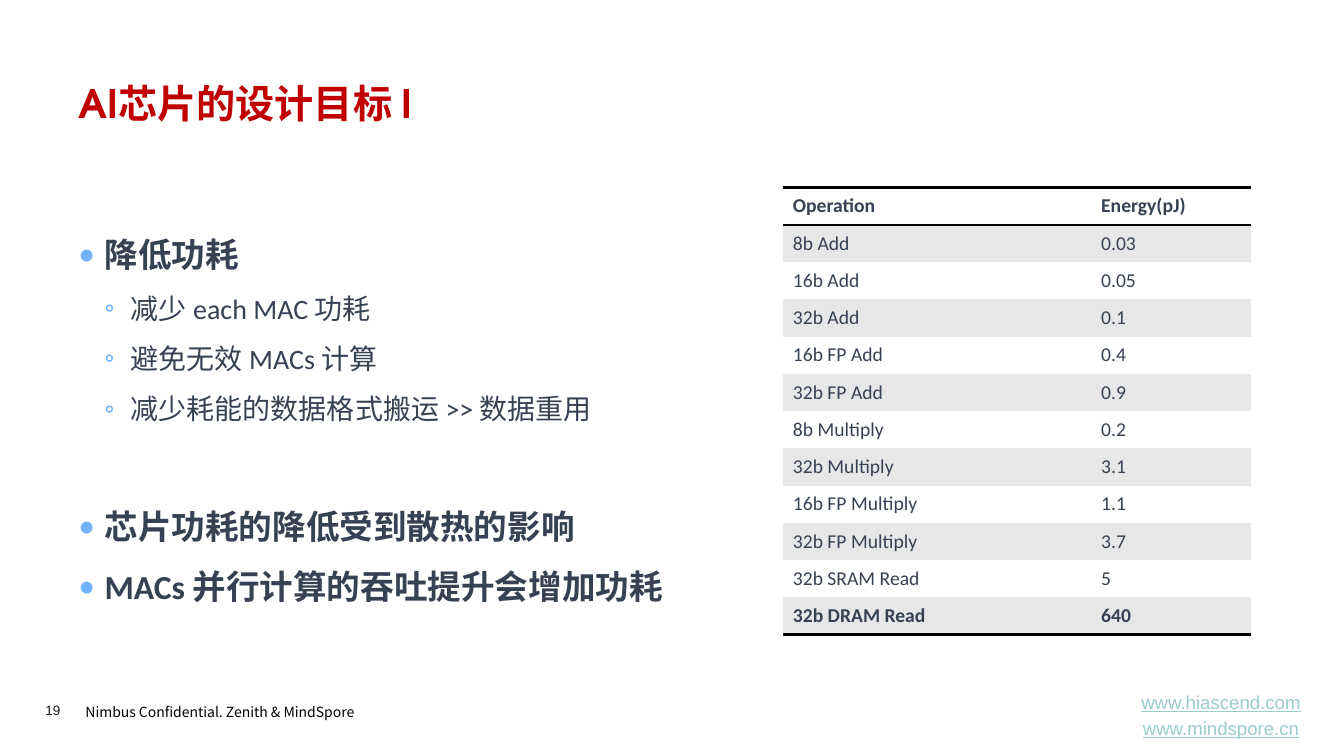
from dataclasses import dataclass

from lxml.etree import SubElement
from pptx import Presentation
from pptx.dml.color import RGBColor
from pptx.enum.text import MSO_ANCHOR as Anchor, PP_ALIGN as Align
from pptx.oxml.ns import qn
from pptx.util import Emu, Pt

PX = 9144  # 100 px to the inch
COLORS = {
    "title": "C00000", "body": "374154", "bullet": "71B2FF", "black": "000000",
    "number": "1D1D1B", "link": "99CCCC", "band": "E7E7E7", "white": "FFFFFF",
}


@dataclass(frozen=True)
class Style:
    size: float
    font: str
    color: str
    bold: bool = False
    underline: bool = False


@dataclass(frozen=True)
class Label:
    box: tuple[int, int, int, int]
    lines: tuple[str, ...]
    style: Style
    inset: tuple[int, int] = (10, 5)
    anchor: Anchor = Anchor.TOP
    align: Align = Align.LEFT
    spacing: float = 1.0
    gap: float = 0


@dataclass(frozen=True)
class Point:
    text: str
    level: int = 0
    before: float = 0


TITLE = Style(28, "TeX Gyre Adventor", "title", bold=True)
POINT_STYLES = (Style(24, "Calibri", "body", bold=True), Style(20, "Calibri", "body"))
BULLETS = "•◦"
INDENT = 26
CELL = Style(14, "Calibri", "body")
CELL_BOLD = Style(14, "Calibri", "body", bold=True)

LABELS = (
    Label((75, 690, 340, 29), ("Nimbus Confidential. Zenith & MindSpore",),
          Style(10, "Noto Sans CJK SC", "black"), spacing=1.2),
    Label((45, 696, 55, 16), ("19",), Style(9.7, "Arial", "number"), inset=(0, 0)),
    Label((1104, 688, 216, 43), ("www.hiascend.com", "www.mindspore.cn"),
          Style(13.3, "Arial", "link", underline=True),
          anchor=Anchor.MIDDLE, align=Align.CENTER, gap=2.7),
    Label((68, 74, 1199, 64), ("AI芯片的设计目标 I",), TITLE),
)
POINTS_BOX = (68, 155, 700, 504)
POINTS = (
    Point("降低功耗"),
    Point("减少 each MAC 功耗", 1),
    Point("避免无效 MACs 计算", 1),
    Point("减少耗能的数据格式搬运 >> 数据重用", 1),
    Point("芯片功耗的降低受到散热的影响", before=43),
    Point("MACs 并行计算的吞吐提升会增加功耗"),
)
TABLE_AT = (777, 186)
COLUMNS = (306, 159)
ROW_HEIGHT = 37
ENERGY = (
    ("Operation", "Energy(pJ)"),
    ("8b Add", "0.03"), ("16b Add", "0.05"), ("32b Add", "0.1"),
    ("16b FP Add", "0.4"), ("32b FP Add", "0.9"),
    ("8b Multiply", "0.2"), ("32b Multiply", "3.1"),
    ("16b FP Multiply", "1.1"), ("32b FP Multiply", "3.7"),
    ("32b SRAM Read", "5"), ("32b DRAM Read", "640"),
)


def px(length: int) -> Emu:
    return Emu(length * PX)


def rgb(name: str) -> RGBColor:
    return RGBColor.from_string(COLORS[name])


def add_run(paragraph, text: str, style: Style) -> None:
    run = paragraph.add_run()
    run.text = text
    font = run.font
    font.size, font.name, font.bold = Pt(style.size), style.font, style.bold
    font.color.rgb = rgb(style.color)
    if style.underline:
        font.underline = True


def add_frame(slide, box: tuple[int, int, int, int], anchor: Anchor):
    frame = slide.shapes.add_textbox(*map(px, box)).text_frame
    frame.word_wrap = True
    frame.vertical_anchor = anchor
    return frame


def paragraph_at(frame, index: int):
    return frame.add_paragraph() if index else frame.paragraphs[0]


def add_label(slide, label: Label) -> None:
    frame = add_frame(slide, label.box, label.anchor)
    frame.margin_left = frame.margin_right = px(label.inset[0])
    frame.margin_top = frame.margin_bottom = px(label.inset[1])
    for index, line in enumerate(label.lines):
        paragraph = paragraph_at(frame, index)
        paragraph.alignment = label.align
        paragraph.line_spacing = label.spacing
        if index:
            paragraph.space_before = Pt(label.gap)
        add_run(paragraph, line, label.style)


def set_bullet(paragraph, level: int) -> None:
    props = paragraph._p.get_or_add_pPr()
    props.set("marL", str(px(INDENT * (level + 1))))
    props.set("indent", str(px(-INDENT)))
    SubElement(SubElement(props, qn("a:buClr")), qn("a:srgbClr"), val=COLORS["bullet"])
    SubElement(props, qn("a:buFont"), typeface="Calibri")
    SubElement(props, qn("a:buChar"), char=BULLETS[level])


def add_points(slide) -> None:
    frame = add_frame(slide, POINTS_BOX, Anchor.MIDDLE)
    for index, point in enumerate(POINTS):
        paragraph = paragraph_at(frame, index)
        paragraph.level = point.level
        paragraph.line_spacing = 1.5
        if point.before:
            paragraph.space_before = Pt(point.before)
        set_bullet(paragraph, point.level)
        add_run(paragraph, point.text, POINT_STYLES[point.level])


def set_borders(cell, ruled: str) -> None:
    """Rule the given sides (of L, R, T, B) in black and clear the others."""
    props = cell._tc.get_or_add_tcPr()
    for position, side in enumerate("LRTB"):
        line = props.makeelement(qn(f"a:ln{side}"), {"w": str(Pt(2))})
        props.insert(position, line)
        if side in ruled:
            fill = SubElement(line, qn("a:solidFill"))
            SubElement(fill, qn("a:srgbClr"), val=COLORS["black"])
        else:
            SubElement(line, qn("a:noFill"))


def add_energy_table(slide) -> None:
    last = len(ENERGY) - 1
    size = sum(COLUMNS), ROW_HEIGHT * len(ENERGY)
    table = slide.shapes.add_table(
        len(ENERGY), len(COLUMNS), *map(px, TABLE_AT + size)).table
    for column, width in zip(table.columns, COLUMNS):
        column.width = px(width)
    rules = {0: "TB", 1: "T", last: "B"}
    for r, values in enumerate(ENERGY):
        for c, value in enumerate(values):
            cell = table.cell(r, c)
            cell.vertical_anchor = Anchor.MIDDLE
            cell.fill.solid()
            cell.fill.fore_color.rgb = rgb("band" if r % 2 else "white")
            set_borders(cell, rules.get(r, ""))
            add_run(cell.text_frame.paragraphs[0], value,
                    CELL_BOLD if r in (0, last) else CELL)


def main() -> None:
    deck = Presentation()
    deck.slide_width, deck.slide_height = px(1334), px(750)
    slide = deck.slides.add_slide(deck.slide_layouts[6])
    for label in LABELS:
        add_label(slide, label)
    add_points(slide)
    add_energy_table(slide)
    deck.save("out.pptx")


if __name__ == "__main__":
    main()
